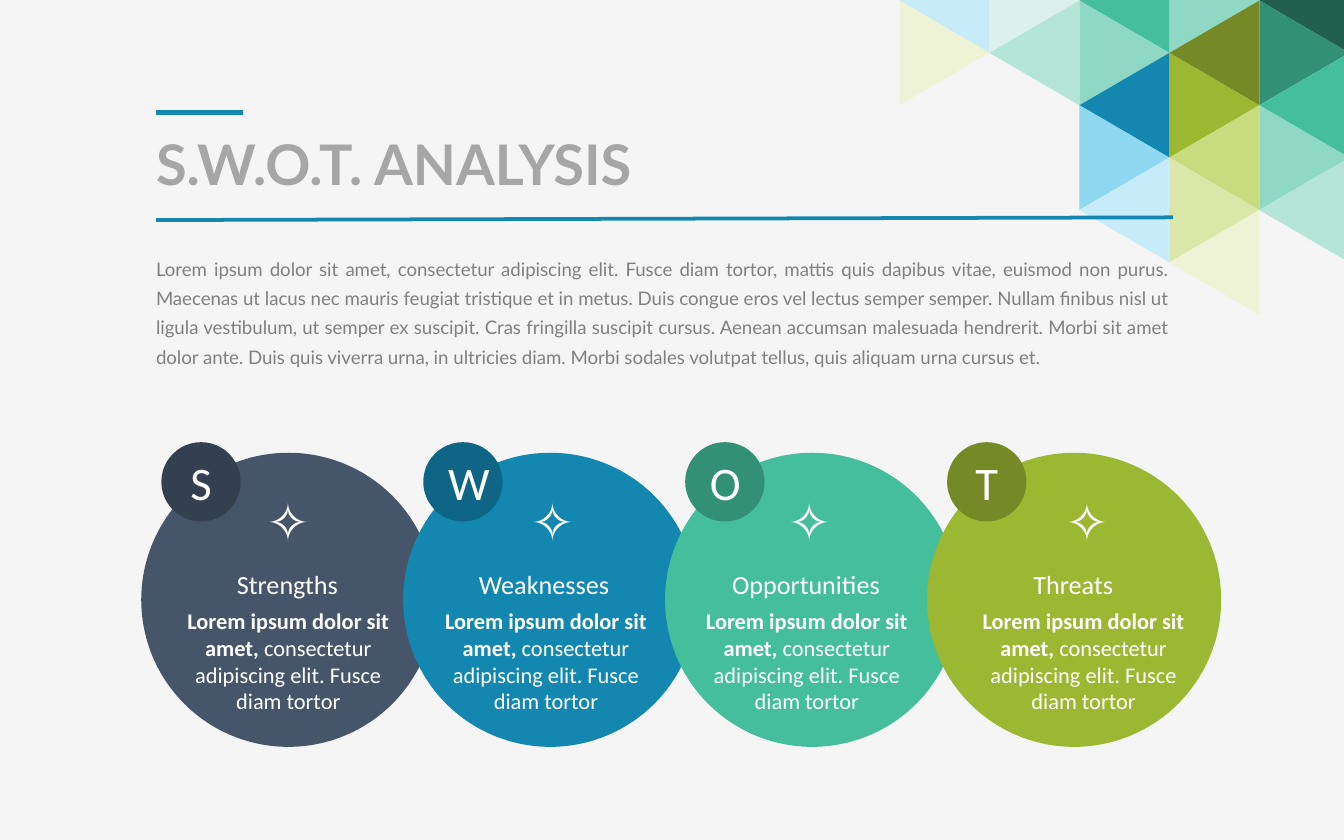
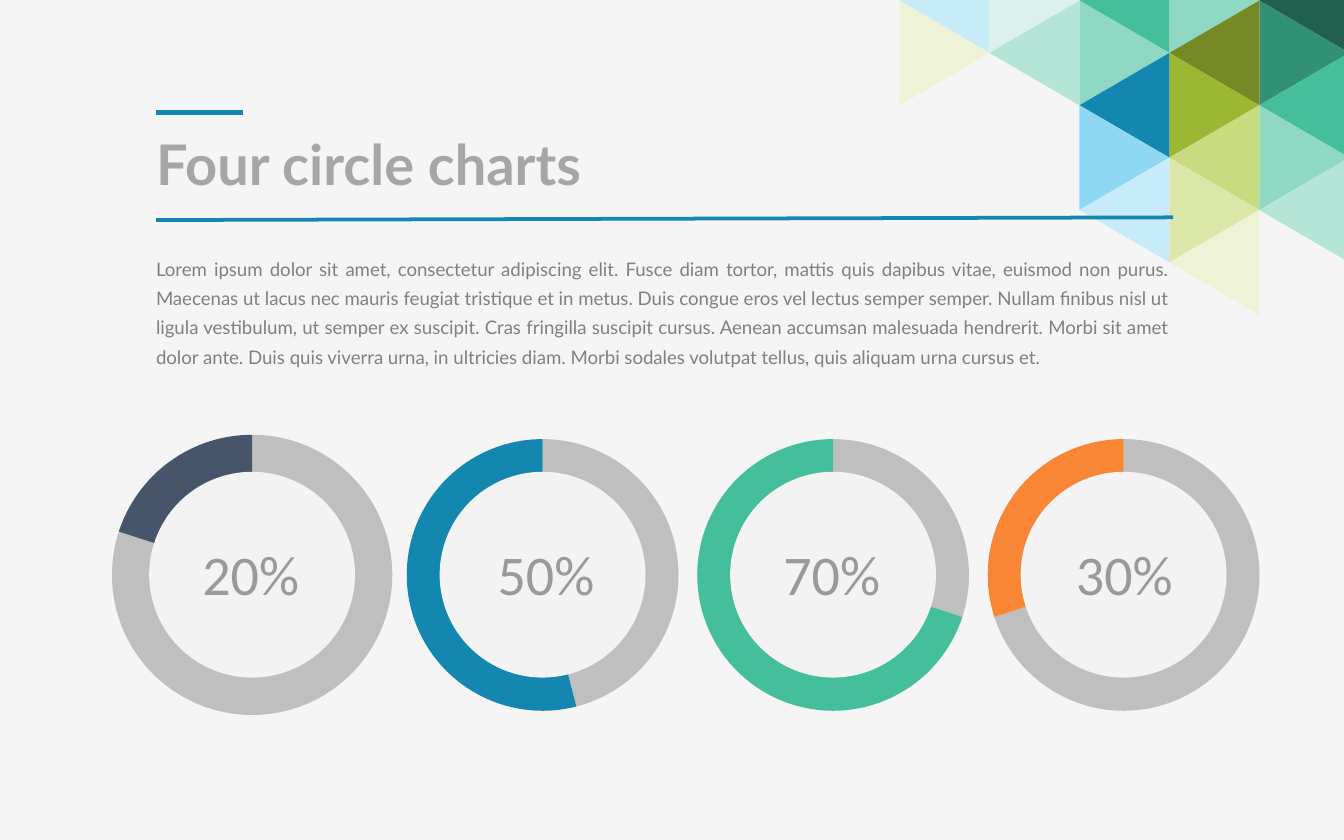
from pptx import Presentation
from pptx.chart import data
from pptx.dml.color import RGBColor
from pptx.enum import chart as charts, shapes, text
from pptx.oxml import parse_xml, ns
from pptx.util import Cm, Pt

PAPER = RGBColor(0xF5, 0xF5, 0xF5)
WHITE = RGBColor(0xFF, 0xFF, 0xFF)
TITLE_GREY = RGBColor(0xA6, 0xA6, 0xA6)
BODY_GREY = RGBColor(0x80, 0x80, 0x80)
PERCENT_GREY = RGBColor(0x9A, 0x9A, 0x9A)
RING_GREY = RGBColor(0xBF, 0xBF, 0xBF)
HOLE_GREY = RGBColor(0xF2, 0xF3, 0xF2)
SLATE = RGBColor(0x46, 0x55, 0x6A)
SLATE_DARK = RGBColor(0x34, 0x40, 0x4F)
BLUE = RGBColor(0x14, 0x87, 0xB1)
BLUE_DARK = RGBColor(0x0F, 0x65, 0x85)
BLUE_LIGHT = RGBColor(0x8F, 0xD8, 0xF2)
BLUE_PALE = RGBColor(0xC7, 0xEB, 0xF9)
GREEN = RGBColor(0x44, 0xBE, 0x9B)
GREEN_DEEP = RGBColor(0x21, 0x60, 0x4E)
GREEN_DARK = RGBColor(0x32, 0x90, 0x75)
GREEN_LIGHT = RGBColor(0x8F, 0xD8, 0xC3)
GREEN_SOFT = RGBColor(0xB4, 0xE5, 0xD7)
GREEN_PALE = RGBColor(0xDA, 0xF2, 0xEB)
LIME = RGBColor(0x9C, 0xB8, 0x33)
LIME_DARK = RGBColor(0x75, 0x8A, 0x26)
LIME_LIGHT = RGBColor(0xC8, 0xDB, 0x7E)
LIME_SOFT = RGBColor(0xDA, 0xE7, 0xA9)
LIME_PALE = RGBColor(0xED, 0xF3, 0xD4)
ORANGE = RGBColor(0xF9, 0x86, 0x34)

MOSAIC = [
    [BLUE_PALE, LIME_PALE],
    [GREEN_PALE, GREEN_SOFT],
    [GREEN, GREEN_LIGHT, BLUE, BLUE_LIGHT, BLUE_PALE],
    [GREEN_LIGHT, LIME_DARK, LIME, LIME_LIGHT, LIME_SOFT, LIME_PALE],
    [GREEN_DEEP, GREEN_DARK, GREEN, GREEN_LIGHT, GREEN_SOFT],
]
INTRO = (
    "Lorem ipsum dolor sit amet, consectetur adipiscing elit. Fusce diam tortor, "
    "mattis quis dapibus vitae, euismod non purus. Maecenas ut lacus nec mauris "
    "feugiat tristique et in metus. Duis congue eros vel lectus semper semper. "
    "Nullam finibus nisl ut ligula vestibulum, ut semper ex suscipit. Cras fringilla "
    "suscipit cursus. Aenean accumsan malesuada hendrerit. Morbi sit amet dolor ante. "
    "Duis quis viverra urna, in ultricies diam. Morbi sodales volutpat tellus, quis "
    "aliquam urna cursus et."
)
SWOT = [
    ("Strengths", SLATE, SLATE_DARK, 2.11, -0.13, 0.61),
    ("Weaknesses", BLUE, BLUE_DARK, 2.16, -0.23, 0.53),
    ("Opportunities", GREEN, GREEN_DARK, 2.06, -0.23, 0.51),
    ("Threats", LIME, LIME_DARK, 2.36, -0.13, 0.79),
]
RINGS = [
    ("20%", (80, 20), SLATE, 6.22, 0),
    ("50%", (46, 54), BLUE, 6.03, 0.09),
    ("70%", (30, 70), GREEN, 6.03, 0),
    ("30%", (70, 30), ORANGE, 6.03, 0.04),
]

ZERO_INSETS = dict(margin_left=0, margin_right=0, margin_top=0, margin_bottom=0)
MIDDLE = dict(vertical_anchor=text.MSO_ANCHOR.MIDDLE)
CENTER = dict(alignment=text.PP_ALIGN.CENTER)
GROW = dict(auto_size=text.MSO_AUTO_SIZE.SHAPE_TO_FIT_TEXT)


def apply(target, formats):
    for attribute, value in formats.items():
        setattr(target, attribute, value)


def write(frame, runs, font, size, color, frame_format=None, paragraph_format=None):
    apply(frame, {"word_wrap": True, **(frame_format or {})})
    paragraph = frame.paragraphs[0]
    apply(paragraph, paragraph_format or {})
    for words, bold in runs:
        run = paragraph.add_run()
        run.text = words
        apply(run.font, dict(name=font, size=Pt(size), bold=bold))
        run.font.color.rgb = color


def add_words(slide, box, *args, **kwargs):
    write(slide.shapes.add_textbox(*map(Cm, box)).text_frame, *args, **kwargs)


def add_solid(slide, preset, box, color):
    solid = slide.shapes.add_shape(preset, *map(Cm, box))
    solid.shadow.inherit = False
    solid.fill.solid()
    solid.fill.fore_color.rgb = color
    solid.line.fill.background()
    return solid


def add_rule(slide, ends, width):
    rule = slide.shapes.add_connector(shapes.MSO_CONNECTOR.STRAIGHT, *map(Cm, ends))
    rule.line.color.rgb = BLUE
    rule.line.width = Pt(width)
    rule.element.spPr.append(parse_xml(f"<a:effectLst {ns.nsdecls('a')}/>"))


def add_mosaic(slide, left, top):
    for column, colors in reversed(list(enumerate(MOSAIC))):
        for row, color in enumerate(colors):
            box = (left + 1.7 * column, top + 0.99 * row, 1.98, 1.7)
            tile = add_solid(slide, shapes.MSO_SHAPE.ISOSCELES_TRIANGLE, box, color)
            tile.rotation = 90 if (column + row) % 2 else 270


def add_heading(slide, title, left, top, width):
    add_rule(slide, (left, top + 2.03, left + width, top + 1.98), 2)
    add_rule(slide, (left + 1.65, top, left, top), 3)
    add_words(slide, (left, top + 0.46, width, 0.99), [(title, True)], "Lato", 30, TITLE_GREY,
              {**ZERO_INSETS, **MIDDLE, "margin_top": Cm(0.1), "margin_bottom": Cm(0.1)})
    add_words(slide, (left, top + 2.62, width - 0.1, 2.67), [(INTRO, False)], "Lato", 10,
              BODY_GREY, ZERO_INSETS,
              dict(alignment=text.PP_ALIGN.JUSTIFY, line_spacing=1.3))


def add_base_slide(deck, title):
    slide = deck.slides.add_slide(deck.slide_layouts[6])
    add_mosaic(slide, 16.86, -0.84)
    add_heading(slide, title, 2.95, 2.13, 19.22)
    return slide


def add_swot_circle(slide, left, top, topic, color, badge_color, star_x, topic_x, detail_x):
    oval = shapes.MSO_SHAPE.OVAL
    add_solid(slide, oval, (left, top, 5.56, 5.56), color)
    badge = add_solid(slide, oval, (left + 0.38, top - 0.2, 1.5, 1.5), badge_color)
    write(badge.text_frame, [(topic[0], False)], "Calibri", 25, WHITE, MIDDLE, CENTER)
    add_words(slide, (left + star_x, top + 0.56, 1.37, 1.45), [("✧", False)],
              "Arial", 28, WHITE, {**GROW, "word_wrap": False})
    add_words(slide, (left + topic_x, top + 2.06, 5.79, 0.86), [(topic, False)],
              "Calibri", 14, WHITE, GROW, CENTER)
    detail = [("Lorem ipsum dolor sit amet, ", True),
              ("consectetur adipiscing elit. Fusce diam tortor", False)]
    add_words(slide, (left + detail_x, top + 2.79, 4.34, 2.31), detail,
              "Calibri", 12, WHITE, GROW, CENTER)


def add_ring(slide, center_x, center_y, label, values, color, size, label_shift):
    shares = data.CategoryChartData()
    shares.categories = ["1", "2"]
    shares.add_series("Region 1", values)
    corner = (center_x - size / 2, center_y - size / 2, size, size)
    pie = slide.shapes.add_chart(charts.XL_CHART_TYPE.PIE, *map(Cm, corner), shares).chart
    apply(pie, dict(has_title=False, has_legend=False))
    apply(pie.font, dict(name="Cabin", size=Pt(30)))
    pie.plots[0].vary_by_categories = True
    for index, slice_color in enumerate((RING_GREY, color)):
        part = pie.plots[0].series[0].points[index].format
        part.fill.solid()
        part.fill.fore_color.rgb = slice_color
        part.line.fill.background()
    place_plot(pie)

    add_solid(slide, shapes.MSO_SHAPE.OVAL,
              (center_x - 1.94, center_y - 1.95, 3.89, 3.89), HOLE_GREY)
    add_words(slide, (center_x - 1.91 + label_shift, center_y - 1.04, 3.78, 2.03),
              [(label, False)], "Calibri", 30, PERCENT_GREY, {**ZERO_INSETS, **MIDDLE}, CENTER)


def place_plot(pie):
    area = pie.element.find(ns.qn("c:chart")).find(ns.qn("c:plotArea"))
    for layout in area.findall(ns.qn("c:layout")):
        area.remove(layout)
    settings = dict(layoutTarget="inner", xMode="edge", yMode="edge",
                    x=0.075, y=0.001, w=0.852, h=1)
    tags = "".join(f'<c:{tag} val="{value}"/>' for tag, value in settings.items())
    area.insert(0, parse_xml(
        f"<c:layout {ns.nsdecls('c')}><c:manualLayout>{tags}</c:manualLayout></c:layout>"))


def build_swot(deck):
    slide = add_base_slide(deck, "S.W.O.T. ANALYSIS")
    for index, circle in enumerate(SWOT):
        add_swot_circle(slide, 2.67 + 4.95 * index, 8.56, *circle)


def build_rings(deck):
    slide = add_base_slide(deck, "Four circle charts")
    for index, ring in enumerate(RINGS):
        add_ring(slide, 4.76 + 5.49 * index, 10.87, *ring)


def main():
    deck = Presentation()
    apply(deck, dict(slide_width=Cm(25.4), slide_height=Cm(15.88)))
    backdrop = deck.slide_master.background.fill
    backdrop.solid()
    backdrop.fore_color.rgb = PAPER
    build_swot(deck)
    build_rings(deck)
    deck.save("out.pptx")


if __name__ == "__main__":
    main()
